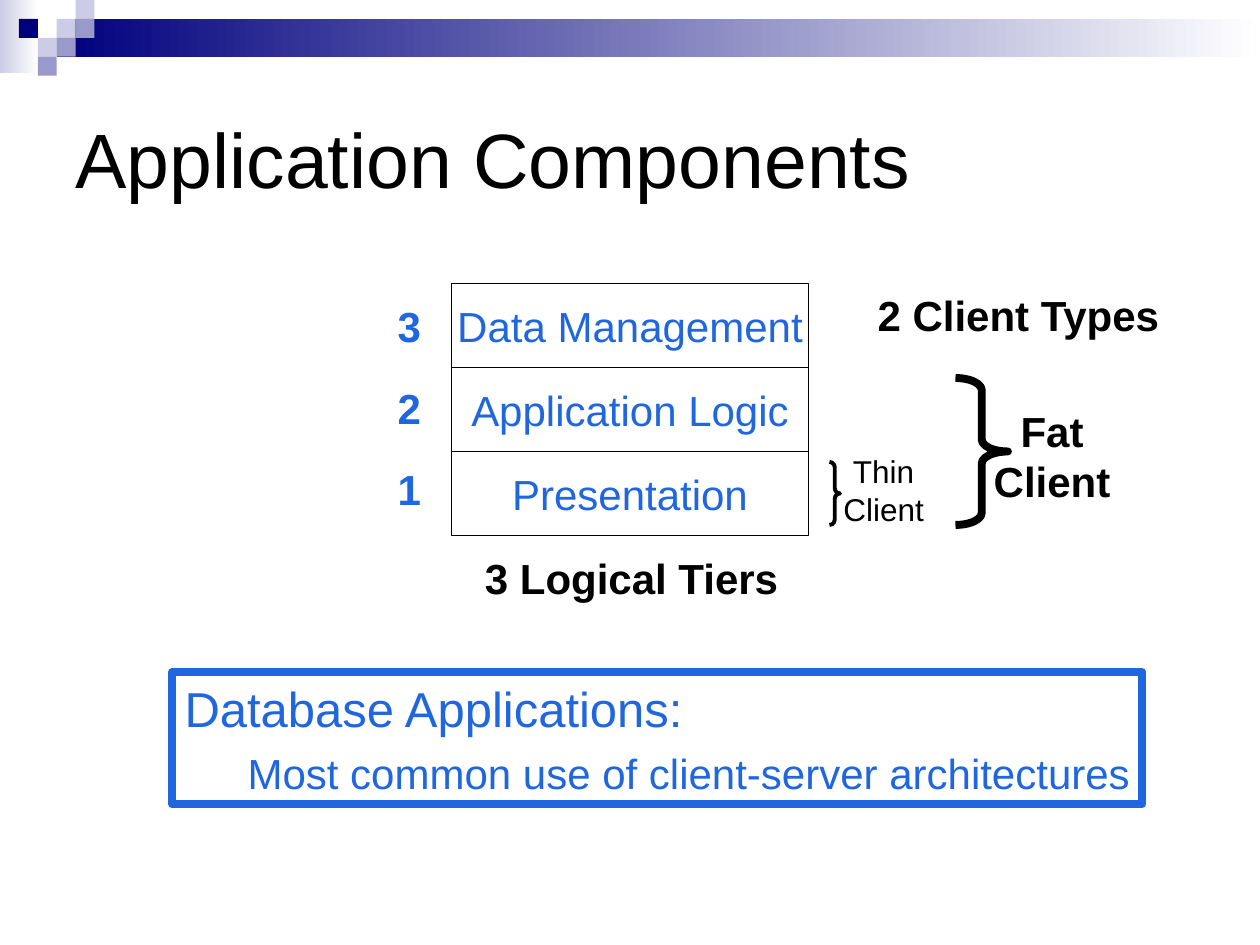
from dataclasses import dataclass
from pptx import Presentation
from pptx.dml.color import RGBColor
from pptx.enum.shapes import MSO_SHAPE
from pptx.enum.text import MSO_ANCHOR, MSO_AUTO_SIZE, PP_ALIGN
from pptx.util import Inches, Pt

RECT, BRACE = MSO_SHAPE.RECTANGLE, MSO_SHAPE.RIGHT_BRACE
TOP, MIDDLE = MSO_ANCHOR.TOP, MSO_ANCHOR.MIDDLE
LEFT, CENTER = PP_ALIGN.LEFT, PP_ALIGN.CENTER
UNIT = Inches(1) // 12


@dataclass(frozen=True)
class Theme:
    font: str = "Arial"
    black: str = "000000"
    blue: str = "2066DF"
    navy: str = "00007D"
    violet: str = "9999CC"
    pale: str = "CCCCE6"
    white: str = "FFFFFF"
    title: int = 44
    lead: int = 28
    body: int = 24
    small: int = 18


T = Theme()


def rgb(color):
    return RGBColor.from_string(color)


def grid(*cells):
    return [round(c * UNIT) for c in cells]


def add_shape(s, kind, box, line=None, width=0, fill=None):
    sp = s.shapes.add_shape(kind, *box)
    sp.shadow.inherit = False
    if fill:
        sp.fill.solid()
        sp.fill.fore_color.rgb = rgb(fill)
    else:
        sp.fill.background()
    if line:
        sp.line.color.rgb = rgb(line)
        sp.line.width = Pt(width)
    else:
        sp.line.fill.background()
    return sp


def write(sp, lines, color, size, bold=False, align=LEFT, anchor=TOP, wrap=False):
    tf = sp.text_frame
    tf.word_wrap = wrap
    tf.auto_size = MSO_AUTO_SIZE.NONE
    tf.vertical_anchor = anchor
    for i, text in enumerate(lines):
        p = tf.paragraphs[0] if i == 0 else tf.add_paragraph()
        p.alignment = align
        r = p.add_run()
        r.text = text
        r.font.name = T.font
        r.font.size = Pt(size)
        r.font.bold = bold
        r.font.color.rgb = rgb(color)
    return tf


def add_label(s, box, *args, **kwargs):
    return write(s.shapes.add_textbox(*box), *args, **kwargs)


def add_fade(s, box, start):
    sp = add_shape(s, RECT, box, fill=start)
    sp.fill.gradient()
    sp.fill.gradient_angle = 0
    for stop, color, position in zip(sp.fill.gradient_stops, (start, T.white), (0, 1)):
        stop.color.rgb = rgb(color)
        stop.position = position


def add_banner(s, width):
    cell = Inches(0.15)
    add_fade(s, (0, 0, 2 * cell, Inches(0.58)), T.pale)
    add_fade(s, (3 * cell, cell, width - 3 * cell, 2 * cell), T.navy)
    squares = [(3, 1, T.pale), (4, 0, T.pale), (4, 1, T.violet), (2, 2, T.pale),
               (1, 1, T.navy), (3, 2, T.violet), (2, 3, T.violet)]
    for col, row, color in squares:
        add_shape(s, RECT, (col * cell, row * cell, cell, cell), fill=color)


def add_title(s, box, text):
    sp = s.shapes.title
    sp.left, sp.top, sp.width, sp.height = box
    write(sp, [text], T.black, T.title, anchor=MIDDLE, wrap=True)


def add_tiers(s, x, y, w, h, names, caption):
    row = h / len(names)
    for i, name in enumerate(names):
        sp = add_shape(s, RECT, grid(x, y + i * row, w, row), T.black, 0.75)
        write(sp, [name], T.blue, T.body, align=CENTER, anchor=MIDDLE)
        add_label(s, grid(x - 6.3, y + 1 + 7.8 * i, 4.6, 6),
                  [str(len(names) - i)], T.blue, T.body, bold=True)
    add_label(s, grid(x + 2, y + h + 1, w - 3.6, 6), [caption], T.black, T.body, bold=True)


def add_brace(s, box, width, curve):
    sp = add_shape(s, BRACE, box, T.black, width)
    sp.adjustments[0] = curve


def add_clients(s, x, y, heading):
    add_label(s, grid(x + 3.4, y, 29.5, 6), [heading], T.black, T.body, bold=True)
    add_brace(s, grid(x + 12, y + 9, 5, 14), 4.5, 0.23)
    add_brace(s, grid(x, y + 17, 1, 6), 2.25, 0.5)
    add_label(s, grid(x + 0.1, y + 15.5, 10.1, 8.4), ["Thin", "Client"],
              T.black, T.small, align=CENTER)
    add_label(s, grid(x + 14.5, y + 11, 13.4, 10.8), ["Fat", "Client"],
              T.black, T.body, bold=True, align=CENTER)


def add_summary(s, box, lead, detail):
    sp = add_shape(s, RECT, box, T.blue, 4.5)
    tf = write(sp, [lead, detail], T.blue, T.lead)
    p = tf.paragraphs[1]
    p.level = 1
    p.space_before = Pt(6)
    p.runs[0].font.size = Pt(T.body)
    pPr = p._p.get_or_add_pPr()
    pPr.set("marL", str(Inches(0.5)))
    pPr.set("indent", "0")


def main():
    prs = Presentation()
    prs.slide_width, prs.slide_height = Inches(10), Inches(7.5)
    s = prs.slides.add_slide(prs.slide_layouts[5])
    add_banner(s, prs.slide_width)
    add_title(s, grid(6, 6, 108, 18), "Application Components")
    add_tiers(s, 43, 27, 34, 24,
              ["Data Management", "Application Logic", "Presentation"], "3 Logical Tiers")
    add_clients(s, 79, 27, "2 Client Types")
    add_summary(s, grid(16.4, 64, 92.4, 12.6), "Database Applications:",
                "Most common use of client-server architectures")
    prs.save("out.pptx")


if __name__ == "__main__":
    main()
